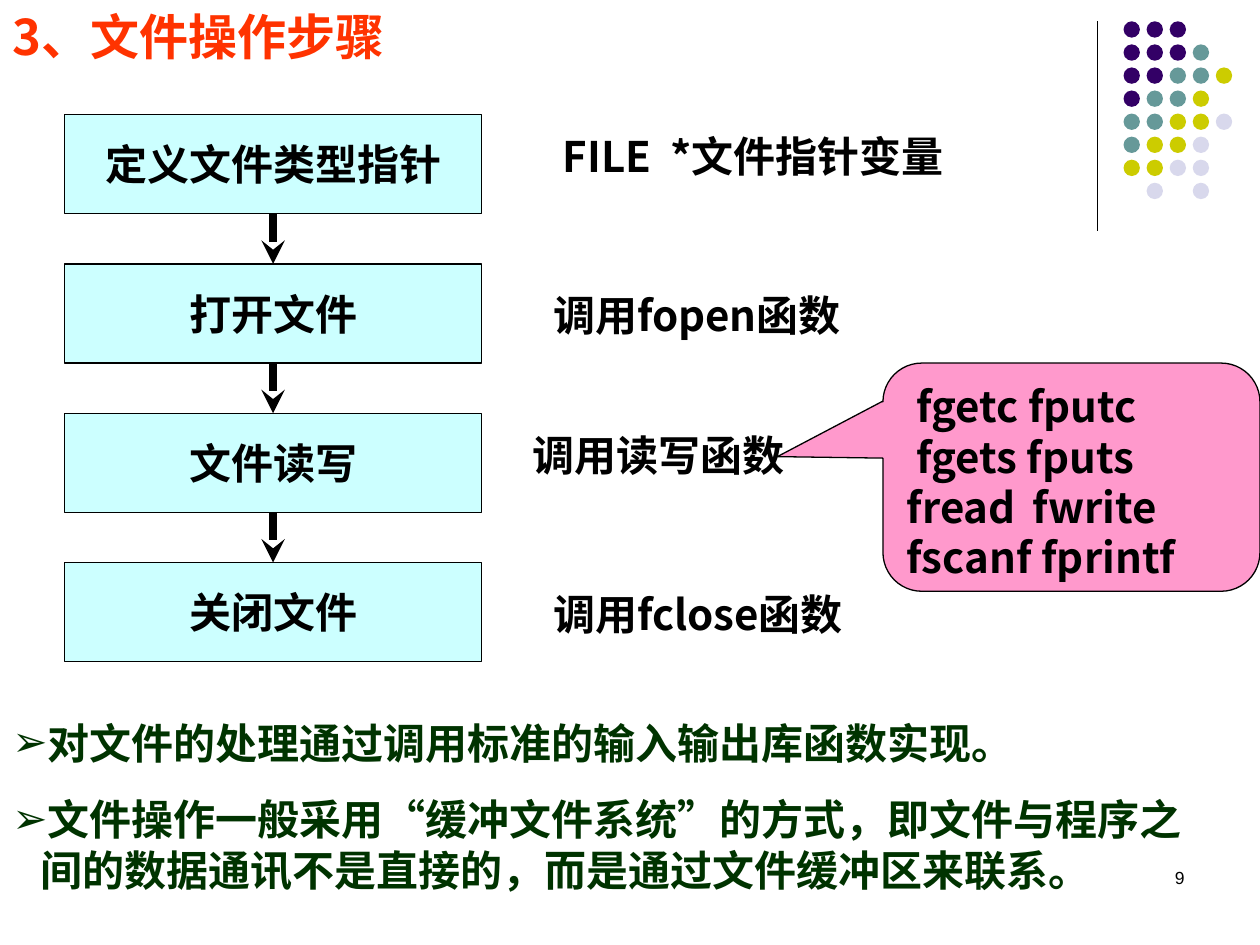
from typing import NamedTuple

from lxml.etree import SubElement
from pptx import Presentation
from pptx.dml.color import RGBColor
from pptx.enum.shapes import MSO_CONNECTOR, MSO_SHAPE
from pptx.enum.text import MSO_ANCHOR, MSO_AUTO_SIZE, PP_ALIGN
from pptx.oxml.ns import qn
from pptx.util import Cm, Pt

BLACK = RGBColor(0x00, 0x00, 0x00)
ORANGE = RGBColor(0xFF, 0x33, 0x00)
GREEN = RGBColor(0x00, 0x33, 0x00)
CYAN = RGBColor(0xCC, 0xFF, 0xFF)
PINK = RGBColor(0xFF, 0x99, 0xCC)
DOT_COLORS = {
    "P": RGBColor(0x33, 0x00, 0x66),
    "T": RGBColor(0x66, 0x99, 0x99),
    "Y": RGBColor(0xCC, 0xCC, 0x00),
    "L": RGBColor(0xD8, 0xD8, 0xEC),
}
CJK = "Noto Sans CJK SC"
BOLD = {"size": Pt(24), "bold": True, "name": CJK}
DOT_ROWS = ["PPP", "PPPT", "PPTTY", "PTTY", "TTYYL", "TYYL", "YYLL", " L L"]
DOT_PITCH = 0.465
STEP_TOP, STEP_PITCH = 2.31, 3.01


class Box(NamedTuple):
    left: float
    top: float
    width: float
    height: float

    def lengths(self) -> tuple:
        return tuple(Cm(v) for v in self)


class Note(NamedTuple):
    text: str
    box: Box


STEPS = ["定义文件类型指针", "打开文件", "文件读写", "关闭文件"]
NOTES = [
    Note("FILE  *文件指针变量", Box(11.1, 2.51, 9.4, 1.27)),
    Note("调用fopen函数", Box(10.9, 5.71, 8.41, 1.27)),
    Note("调用读写函数", Box(10.48, 8.53, 6, 1.27)),
    Note("调用fclose函数", Box(10.9, 11.73, 8.41, 1.27)),
]
CALLS = [" fgetc fputc", " fgets fputs", "fread\tfwrite", "fscanf fprintf"]
SUMMARY = [
    "对文件的处理通过调用标准的输入输出库函数实现。",
    "文件操作一般采用“缓冲文件系统”的方式，即文件与程序之间的数据通讯不是直接的，而是通过文件缓冲区来联系。",
]


def write(sp, lines: list, fmt: dict, color: RGBColor = BLACK,
          align=PP_ALIGN.LEFT, anchor=MSO_ANCHOR.TOP, wrap: bool = True) -> None:
    tf = sp.text_frame
    frame = {"word_wrap": wrap, "auto_size": MSO_AUTO_SIZE.NONE, "vertical_anchor": anchor}
    for name, value in frame.items():
        setattr(tf, name, value)
    for i, line in enumerate(lines):
        p = tf.add_paragraph() if i else tf.paragraphs[0]
        p.alignment = align
        r = p.add_run()
        r.text = line
        for name, value in fmt.items():
            setattr(r.font, name, value)
        r.font.color.rgb = color
        SubElement(r.font._element, qn("a:ea"), typeface=CJK)


def add_text(shapes, box: Box, lines: list, fmt: dict, **options):
    sp = shapes.add_textbox(*box.lengths())
    write(sp, lines, fmt, **options)
    return sp


def add_filled(shapes, kind, box: Box, fill: RGBColor, outlined: bool = True):
    sp = shapes.add_shape(kind, *box.lengths())
    sp.shadow.inherit = False
    sp.fill.solid()
    sp.fill.fore_color.rgb = fill
    if outlined:
        sp.line.color.rgb = BLACK
        sp.line.width = Pt(0.75)
    else:
        sp.line.fill.background()
    return sp


def add_line(shapes, start: tuple, end: tuple, width: float):
    cxn = shapes.add_connector(MSO_CONNECTOR.STRAIGHT, *(Cm(v) for v in start + end))
    cxn.line.color.rgb = BLACK
    cxn.line.width = Pt(width)
    SubElement(cxn._element.spPr, qn("a:effectLst"))
    return cxn


def add_arrow(shapes, upper, lower) -> None:
    cxn = add_line(shapes, (0, 0), (0, 0), 4.5)
    cxn.begin_connect(upper, 2)
    cxn.end_connect(lower, 0)
    SubElement(cxn.line._get_or_add_ln(), qn("a:tailEnd"), type="stealth")


def add_bullet(p) -> None:
    pPr = p._p.get_or_add_pPr()
    pPr.set("marL", str(Cm(0.56)))
    pPr.set("indent", str(-Cm(0.56)))
    SubElement(pPr, qn("a:buFont"), typeface="Arial")
    SubElement(pPr, qn("a:buChar"), char="➢")


def add_dots(shapes) -> None:
    group = shapes.add_group_shape()
    for row, keys in enumerate(DOT_ROWS):
        for col, key in enumerate(keys):
            if key in DOT_COLORS:
                box = Box(22.65 + col * DOT_PITCH, 0.43 + row * DOT_PITCH, 0.33, 0.33)
                add_filled(group.shapes, MSO_SHAPE.OVAL, box, DOT_COLORS[key], outlined=False)


def add_steps(shapes) -> None:
    previous = None
    for i, text in enumerate(STEPS):
        box = Box(1.3, STEP_TOP + i * STEP_PITCH, 8.41, 2)
        sp = add_filled(shapes, MSO_SHAPE.RECTANGLE, box, CYAN)
        write(sp, [text], BOLD | {"name": "Arial"}, align=PP_ALIGN.CENTER,
              anchor=MSO_ANCHOR.MIDDLE, wrap=False)
        if previous is not None:
            add_arrow(shapes, previous, sp)
        previous = sp


def add_callout(shapes) -> None:
    sp = add_filled(shapes, MSO_SHAPE.ROUNDED_RECTANGULAR_CALLOUT,
                    Box(17.8, 7.32, 7.6, 4.6), PINK)
    for i, value in enumerate((-0.78, -0.09, 0.17)):
        sp.adjustments[i] = value
    write(sp, CALLS, BOLD)


def main() -> None:
    prs = Presentation()
    prs.slide_width, prs.slide_height = Cm(25.4), Cm(19.05)
    s = prs.slides.add_slide(prs.slide_layouts[5])
    shapes = s.shapes

    title = shapes.title
    title.left, title.top, title.width, title.height = Box(0, 0, 24.9, 1.44).lengths()
    write(title, ["3、文件操作步骤"], BOLD | {"size": Pt(28)}, color=ORANGE)

    add_line(shapes, (22.12, 0.43), (22.12, 4.65), 0.75)
    add_dots(shapes)
    add_text(shapes, Box(18.2, 17.35, 5.93, 1.27), ["9"],
             {"size": Pt(10), "name": "Arial"}, align=PP_ALIGN.RIGHT)

    summary = add_text(shapes, Box(0, 14.33, 24.3, 3.84), SUMMARY, BOLD, color=GREEN)
    for p in summary.text_frame.paragraphs:
        p.space_before = Pt(15)
        add_bullet(p)

    add_steps(shapes)
    add_callout(shapes)
    for note in NOTES:
        add_text(shapes, note.box, [note.text], BOLD)

    prs.save("out.pptx")


if __name__ == "__main__":
    main()
